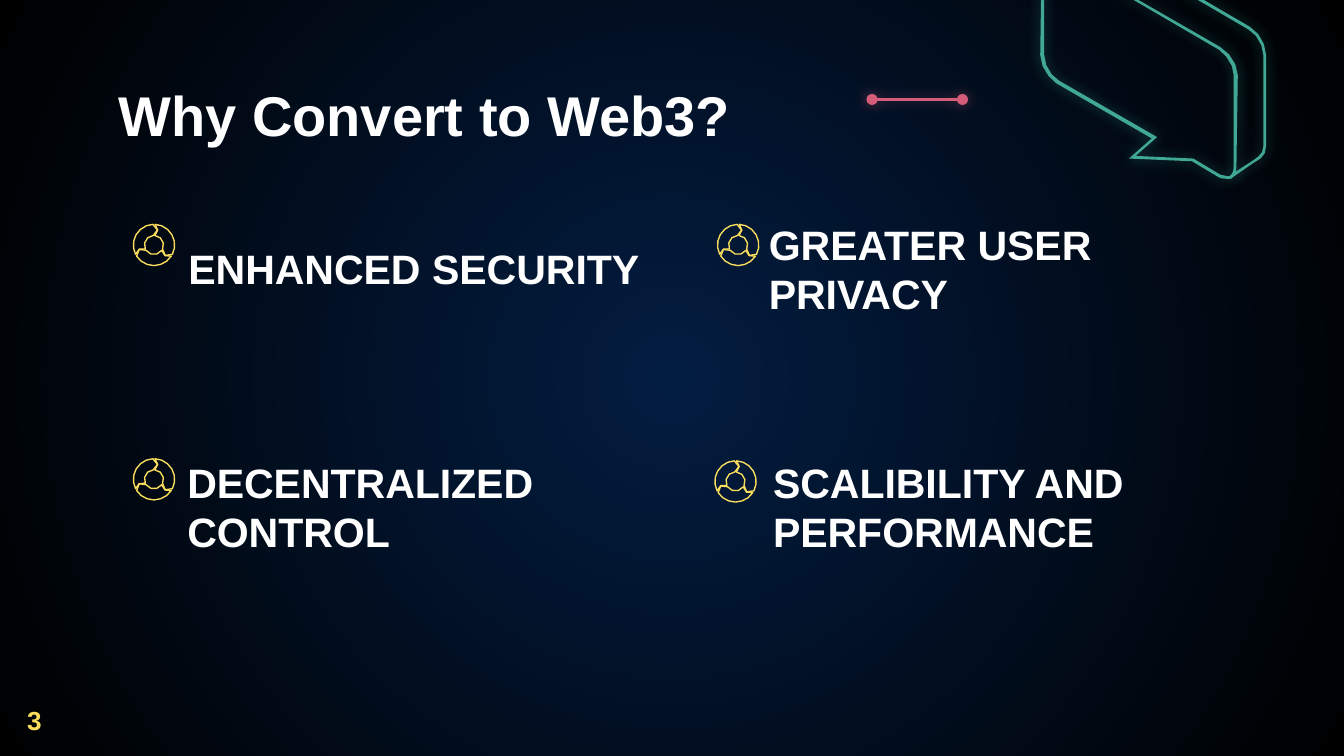
from math import cos, radians, sin

from lxml.etree import SubElement
from pptx import Presentation
from pptx.dml.color import RGBColor
from pptx.enum.shapes import MSO_CONNECTOR
from pptx.enum.text import MSO_ANCHOR, MSO_AUTO_SIZE, PP_ALIGN
from pptx.oxml.ns import qn
from pptx.util import Cm, Pt

COLORS = {
    "centre": "031D41",
    "edge": "000000",
    "text": "FFFFFF",
    "bubble": "40A895",
    "accent": "D55D7A",
    "icon": "FADD5C",
}
FONT = "Arial"
UNIT = 0.0254  # centimetres per bubble drawing unit

# Bubble contours: two numbers make a line, six make a Bezier curve
FRONT_INNER = [
    (8, 18), (13, 19), (133, 89), (139, 93, 144, 101, 144, 108),
    (144, 176), (144, 179, 143, 182, 141, 183), (139, 183),
    (134, 182), (114, 170), (71, 168), (87, 154), (14, 112),
    (8, 109, 3, 100, 3, 93), (3, 25), (3, 22, 4, 20, 6, 19),
]
FRONT_OUTER = [
    (8, 16), (5, 17), (2, 18, 1, 21, 1, 25), (0, 93),
    (0, 101, 6, 110, 12, 114), (83, 155), (66, 170), (113, 172), (133, 184),
    (135, 185, 137, 185, 139, 185), (142, 185),
    (145, 183, 146, 180, 146, 176), (147, 108), (147, 100, 141, 91, 134, 87),
    (14, 18), (12, 16, 10, 16, 8, 16),
]
SIDE = [
    (30, 0), (27, 0, 25, 2, 22, 4), (4, 17), (4, 19), (6, 19), (21, 8),
    (24, 5, 27, 3, 30, 3), (35, 4), (155, 74),
    (161, 77, 166, 86, 166, 93), (166, 161), (166, 166, 163, 168, 159, 171),
    (142, 182), (143, 184), (159, 173), (165, 170, 168, 167, 168, 161),
    (168, 93), (168, 85, 163, 76, 156, 72), (36, 2), (34, 1, 32, 0, 30, 0),
]


def color(name):
    return RGBColor.from_string(COLORS[name])


def flatten(contour, steps=3):
    """Turn lines and Bezier curves into a list of points."""
    points = []
    for segment in contour:
        if len(segment) == 2:
            points.append(segment)
            continue
        nodes = [points[-1], segment[:2], segment[2:4], segment[4:]]
        for step in range(1, steps + 1):
            t = step / steps
            weights = ((1 - t) ** 3, 3 * t * (1 - t) ** 2, 3 * t * t * (1 - t), t ** 3)
            points.append(tuple(
                sum(weight * node[axis] for weight, node in zip(weights, nodes))
                for axis in (0, 1)))
    return points


def add_outline(shapes, contours):
    """Build one closed freeform from contours given in centimetres."""
    contours = [[(Cm(x), Cm(y)) for x, y in contour] for contour in contours]
    builder = shapes.build_freeform(*contours[0][0], scale=1.0)
    builder.add_line_segments(contours[0][1:], close=True)
    for contour in contours[1:]:
        builder.move_to(*contour[0])
        builder.add_line_segments(contour[1:], close=True)
    shape = builder.convert_to_shape()
    shape.shadow.inherit = False
    return shape


def add_glow(shape, name):
    properties = shape._element.spPr
    effects = properties.find(qn("a:effectLst"))
    if effects is None:
        effects = SubElement(properties, qn("a:effectLst"))
    glow = SubElement(effects, qn("a:outerShdw"), blurRad=str(Pt(6.8)), dist="0",
                      algn="bl", rotWithShape="0")
    tint = SubElement(glow, qn("a:srgbClr"), val=COLORS[name])
    SubElement(tint, qn("a:alpha"), val="50000")


def write_text(shape, box, text, size, name="text", align=PP_ALIGN.LEFT,
               inset=0.25, wrap=True):
    shape.left, shape.top, shape.width, shape.height = (Cm(value) for value in box)
    frame = shape.text_frame
    frame.text = text
    frame.word_wrap = wrap
    frame.auto_size = MSO_AUTO_SIZE.NONE
    frame.vertical_anchor = MSO_ANCHOR.MIDDLE
    frame.margin_left = frame.margin_right = Cm(inset)
    frame.margin_top = frame.margin_bottom = Cm(inset)
    paragraph = frame.paragraphs[0]
    paragraph.alignment = align
    paragraph.line_spacing = 1.0
    font = paragraph.runs[0].font
    font.name, font.size, font.bold = FONT, Pt(size), True
    font.color.rgb = color(name)


def add_text(slide, box, *args, **options):
    write_text(slide.shapes.add_textbox(0, 0, 0, 0), box, *args, **options)


def paint_background(slide):
    fill = slide.background.fill
    fill.gradient()
    for stop, name, position in zip(fill.gradient_stops, ("centre", "edge"), (0, 1)):
        stop.color.rgb = color(name)
        stop.position = position
    gradient = slide.element.find(".//" + qn("a:gradFill"))
    gradient.remove(gradient.find(qn("a:lin")))
    radial = SubElement(gradient, qn("a:path"), path="circle")
    SubElement(radial, qn("a:fillToRect"), l="50000", t="50000", r="50000", b="50000")


def add_bubble(slide, left, top):
    group = slide.shapes.add_group_shape()
    for contours in ([FRONT_INNER, FRONT_OUTER], [SIDE]):
        shape = add_outline(group.shapes, [
            [(left + UNIT * x, top + UNIT * y) for x, y in flatten(contour)]
            for contour in contours])
        shape.fill.solid()
        shape.fill.fore_color.rgb = color("bubble")
        shape.line.fill.background()
        add_glow(shape, "bubble")


def add_accent_line(slide, left, top, width):
    line = slide.shapes.add_connector(
        MSO_CONNECTOR.STRAIGHT, Cm(left), Cm(top), Cm(left + width), Cm(top))
    line.line.color.rgb = color("accent")
    line.line.width = Pt(1.5)
    for end in ("a:headEnd", "a:tailEnd"):
        SubElement(line.line._ln, qn(end), type="oval")
    add_glow(line, "accent")


def add_icon(slide, centre_x, centre_y, outer=0.39, notch=0.29, inner=0.18):
    """Draw a ring of three interlocking sectors."""
    sector = [(outer, angle) for angle in range(-3, -118, -19)]
    sector += [(notch, -106)]
    sector += [(inner, angle) for angle in range(-115, -3, 37)]
    sector += [(notch, 13)]
    group = slide.shapes.add_group_shape()
    for turn in (0, 120, 240):
        shape = add_outline(group.shapes, [[
            (centre_x + radius * sin(radians(angle + turn)),
             centre_y - radius * cos(radians(angle + turn)))
            for radius, angle in sector]])
        shape.fill.background()
        shape.line.color.rgb = color("icon")
        shape.line.width = Pt(0.75)


def add_benefit(slide, text, box, icon_centre):
    add_text(slide, box, text, 22)
    add_icon(slide, *icon_centre)


def main():
    presentation = Presentation()
    presentation.slide_width, presentation.slide_height = Cm(25.4), Cm(14.29)
    slide = presentation.slides.add_slide(presentation.slide_layouts[5])
    paint_background(slide)

    # Title and decoration
    write_text(slide.shapes.title, (1.99, 1.5, 21.44, 1.32), "Why Convert to Web3?", 30)
    add_bubble(slide, 19.66, -1.32)
    add_accent_line(slide, 16.48, 1.88, 1.71)

    # Four benefits: text, text left, text top, icon centre
    benefits = [
        ("ENHANCED SECURITY", 3.31, 4.62, (2.91, 4.63)),
        ("GREATER USER PRIVACY", 14.28, 4.62, (13.95, 4.63)),
        ("DECENTRALIZED CONTROL", 3.29, 9.12, (2.91, 9.06)),
        ("SCALIBILITY AND PERFORMANCE", 14.36, 9.12, (13.9, 9.1)),
    ]
    for text, left, top, icon_centre in benefits:
        add_benefit(slide, text, (left, top, 9.3, 0.91), icon_centre)

    # Slide number
    add_text(slide, (0.3, 13.27, 0.7, 0.7), "3", 14, name="icon",
             align=PP_ALIGN.CENTER, inset=0, wrap=False)
    presentation.save("out.pptx")


if __name__ == "__main__":
    main()
